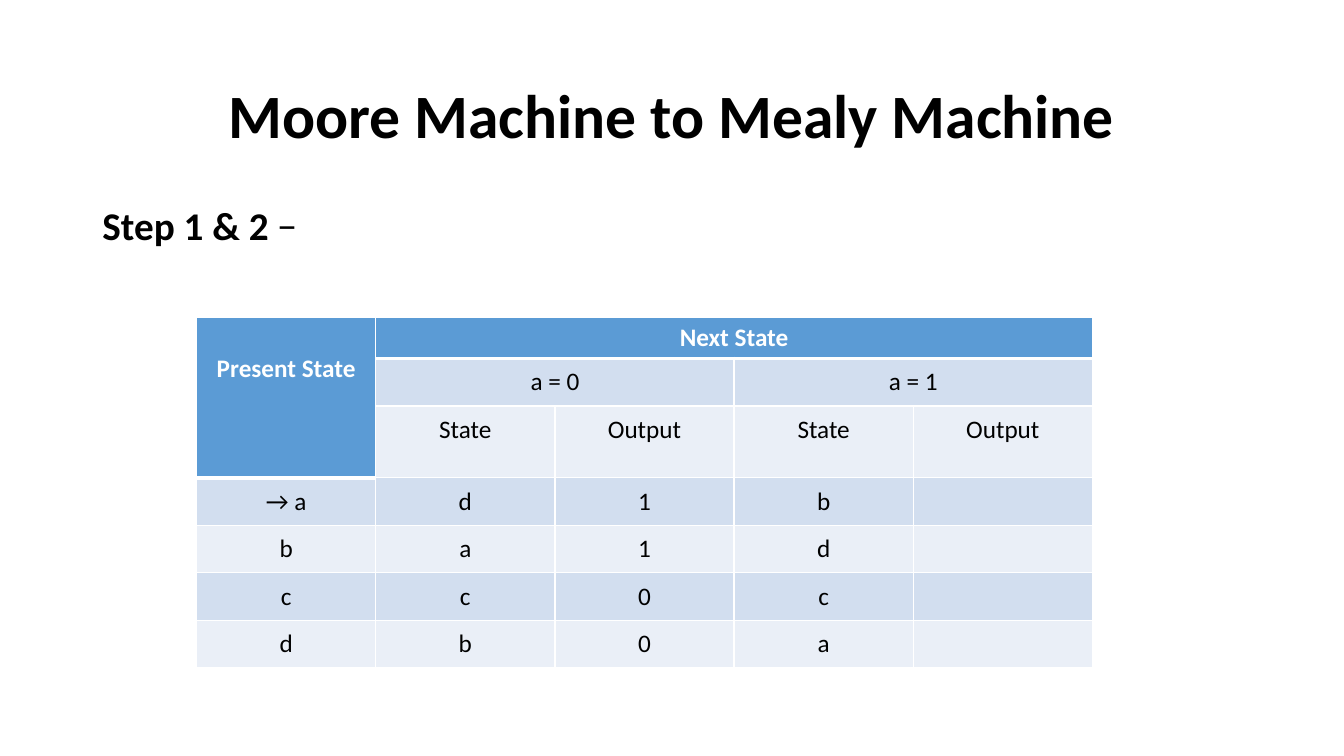
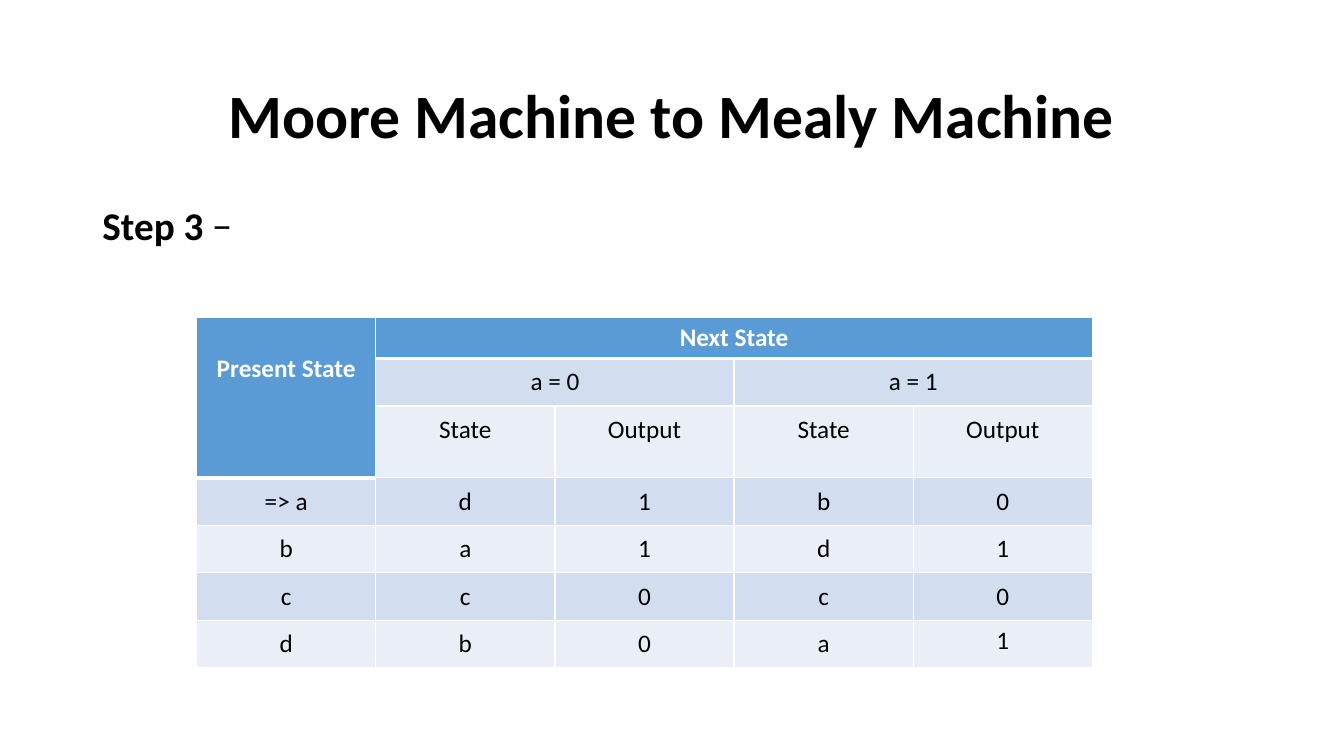
from lxml.etree import SubElement
from pptx import Presentation
from pptx.dml.color import RGBColor
from pptx.enum.text import MSO_ANCHOR, MSO_AUTO_SIZE, PP_ALIGN
from pptx.oxml.ns import qn
from pptx.util import Pt

COLORS = {"text": "000000", "white": "FFFFFF", "head": "5B9BD5",
          "dark": "D2DEEF", "light": "EAEFF7"}
TITLE = "Moore Machine to Mealy Machine"
HEADS = [["Present State", "Next State", "", "", ""],
         ["", "a = 0", "", "a = 1", ""],
         ["", "State", "Output", "State", "Output"]]
STATES = [["d", "1", "b"], ["a", "1", "d"], ["c", "0", "c"], ["b", "0", "a"]]
MERGES = [(0, 0, 2, 0), (0, 1, 0, 4), (1, 1, 1, 2), (1, 3, 1, 4)]
HEIGHTS = [29, 34, 51, 34, 34, 34, 34]
WIDTH = 128
SLIDES = [("Step 1 & 2", "→ a", [""] * 4),
          ("Step 3", "=> a", ["0", "1", "0", "1"])]


def style(font, size, color, bold):
    values = {"name": "Calibri", "size": Pt(size), "bold": bold}
    for name, value in values.items():
        setattr(font, name, value)
    font.color.rgb = RGBColor.from_string(COLORS[color])


def is_head(row, col):
    return row == 0 or (col == 0 and 0 < row < 3)


deck = Presentation()
deck.slide_width, deck.slide_height = Pt(960), Pt(540)

for step, start, outs in SLIDES:
    slide = deck.slides.add_slide(deck.slide_layouts[1])
    title, body = slide.placeholders
    places = [(title, 28.8, 104.4, MSO_ANCHOR.MIDDLE),
              (body, 144, 342.6, MSO_ANCHOR.TOP)]
    for box, top, height, anchor in places:
        box.left, box.top, box.width, box.height = Pt(66), Pt(top), Pt(828), Pt(height)
        box.text_frame.vertical_anchor = anchor
        box.text_frame.auto_size = MSO_AUTO_SIZE.NONE
        box.text_frame.paragraphs[0].line_spacing = 0.9

    title.text_frame.text = TITLE
    line = title.text_frame.paragraphs[0]
    line.alignment = PP_ALIGN.CENTER
    style(line.runs[0].font, 44, "text", True)

    line = body.text_frame.paragraphs[0]
    line.space_before = Pt(0)
    props = line._p.get_or_add_pPr()
    props.set("marL", "0")
    props.set("indent", "0")
    SubElement(props, qn("a:buNone"))
    for text, bold in [(step, True), (" −", False)]:
        run = line.add_run()
        run.text = text
        style(run.font, 28, "text", bold)

    names = [start, "b", "c", "d"]
    rows = HEADS + [[name, *state, out] for name, state, out in zip(names, STATES, outs)]
    frame = slide.shapes.add_table(len(rows), 5, Pt(140.4), Pt(226.8),
                                   Pt(5 * WIDTH), Pt(sum(HEIGHTS)))
    table = frame.table
    for col in table.columns:
        col.width = Pt(WIDTH)
    for row, height in zip(table.rows, HEIGHTS):
        row.height = Pt(height)
    for top, left, bottom, right in MERGES:
        table.cell(top, left).merge(table.cell(bottom, right))

    for r, row in enumerate(rows):
        for c, text in enumerate(row):
            cell = table.cell(r, c)
            head = is_head(r, c)
            above = r > 0 and is_head(r - 1, c)
            inset = 3.6 if head or (r == 6 and c == 4) else 6
            margins = {"left": 6, "right": 6, "top": inset, "bottom": inset}
            if r == c == 0:
                margins["top"] = 25.6
            for side, value in margins.items():
                setattr(cell, f"margin_{side}", Pt(value))

            props = cell._tc.get_or_add_tcPr()
            edges = {"lnL": 1, "lnR": 1, "lnT": 3 if above else 1, "lnB": 3 if head else 1}
            for tag, width in edges.items():
                edge = SubElement(props, qn(f"a:{tag}"), w=str(Pt(width)))
                fill = SubElement(edge, qn("a:solidFill"))
                SubElement(fill, qn("a:srgbClr"), val=COLORS["white"])

            shade = "head" if head else "dark" if r % 2 else "light"
            cell.fill.solid()
            cell.fill.fore_color.rgb = RGBColor.from_string(COLORS[shade])
            if text:
                cell.text = text
                line = cell.text_frame.paragraphs[0]
                line.alignment = PP_ALIGN.CENTER
                style(line.runs[0].font, 18, "white" if head else "text", head)

deck.save("out.pptx")
